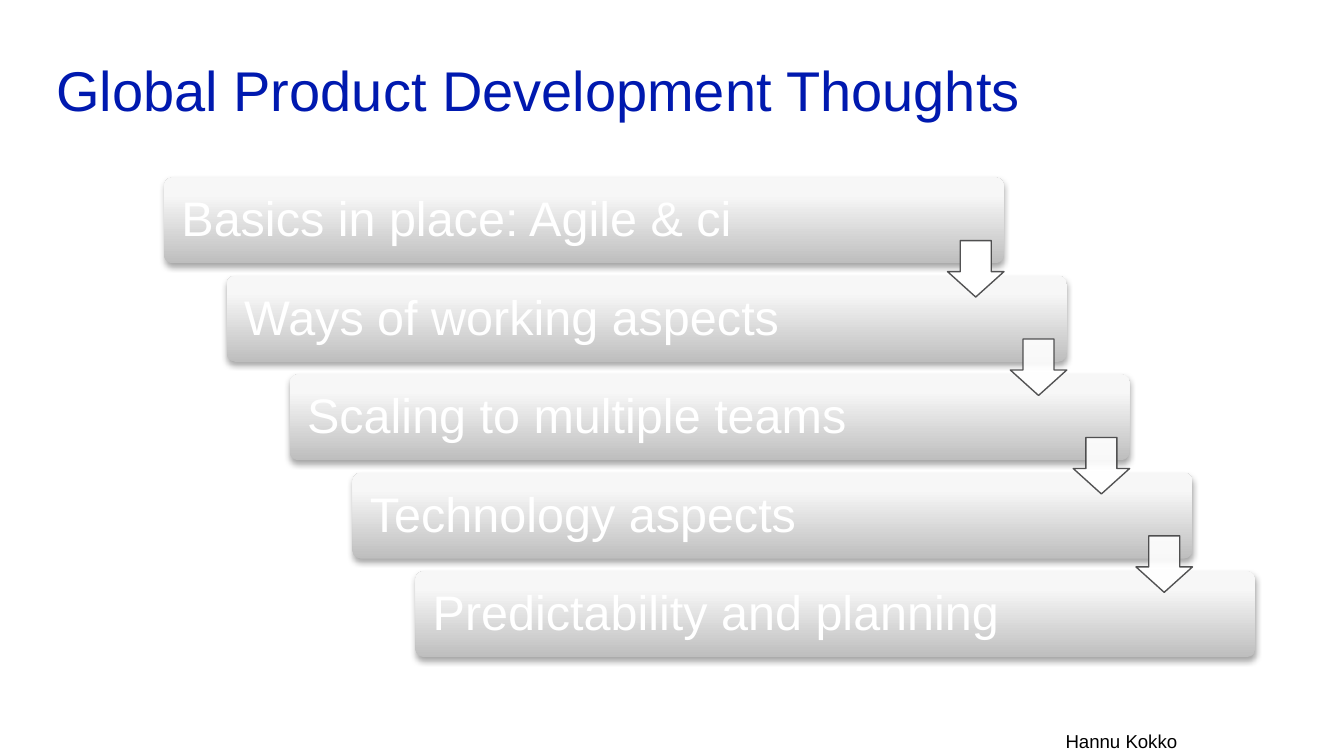
from typing import Any, NamedTuple

from lxml.etree import SubElement
from pptx import Presentation
from pptx.dml.color import RGBColor
from pptx.enum.shapes import MSO_SHAPE as Preset
from pptx.enum.text import MSO_ANCHOR as Anchor
from pptx.oxml.ns import qn
from pptx.util import Inches, Pt

WIDTH = 10
HEIGHT = WIDTH * 9 / 16
BLUE = RGBColor(0x00, 0x19, 0xAF)
BLACK = RGBColor(0x00, 0x00, 0x00)
WHITE = RGBColor(0xFF, 0xFF, 0xFF)
OUTLINE = RGBColor(0x40, 0x40, 0x41)
GRADIENT = (
    (0, RGBColor(0xBE, 0xBE, 0xBE)),
    (80, RGBColor(0xF7, 0xF7, 0xF7)),
    (100, RGBColor(0xF8, 0xF8, 0xF8)),
)
STEPS = (
    "Basics in place: Agile & ci",
    "Ways of working aspects",
    "Scaling to multiple teams",
    "Technology aspects",
    "Predictability and planning",
)
COLUMN = (3.09 - 1.22) / (len(STEPS) - 1)
ROW = (4.25 - 1.32) / (len(STEPS) - 1)


class Box(NamedTuple):
    """A rectangle in inches."""

    left: float
    top: float
    width: float
    height: float

    def moved(self, index: int) -> "Box":
        """Return the rectangle moved down the staircase by index steps."""
        return self._replace(left=self.left + index * COLUMN, top=self.top + index * ROW)

    def lengths(self) -> list[int]:
        """Return the rectangle in slide units."""
        return [Inches(value) for value in self]


TITLE = Box(0.39, 0.26, 9.31, 0.81)
BAR = Box(1.22, 1.32, 6.25, 0.64)
LABEL = Box(1.24, 1.34, 5.32, 0.61)
ARROW = Box(7.05, 1.79, 0.42, 0.42)
AUTHOR = Box(7.83, 5.38, 1.04, 0.27)


def apply_format(target: Any, values: dict[str, Any]) -> None:
    """Set each named attribute on the target."""
    for name, value in values.items():
        setattr(target, name, value)


def add_color(parent: Any, color: RGBColor, alpha: int = 100) -> None:
    """Append a colour with an opacity percentage to an XML element."""
    element = SubElement(parent, qn("a:srgbClr"), val=str(color))
    if alpha < 100:
        SubElement(element, qn("a:alpha"), val=str(alpha * 1000))


def fill_solid(fill: Any, holder: Any, color: RGBColor, alpha: int) -> None:
    """Give a fill one colour with an opacity percentage."""
    fill.solid()
    add_color(holder.find(qn("a:solidFill")), color, alpha)


def add_text(slide: Any, box: Box, text: str, size: int, color: RGBColor,
             inset: float, line_spacing: float = 1.0) -> Any:
    """Add one line of text, centred vertically, and return its frame."""
    frame = slide.shapes.add_textbox(*box.lengths()).text_frame
    margins = {f"margin_{side}": Inches(inset) for side in ("left", "right", "top", "bottom")}
    apply_format(frame, {"word_wrap": True, "vertical_anchor": Anchor.MIDDLE, **margins})
    paragraph = frame.paragraphs[0]
    paragraph.line_spacing = line_spacing
    run = paragraph.add_run()
    run.text = text
    apply_format(run.font, {"name": "Arial", "size": Pt(size)})
    run.font.color.rgb = color
    return frame


def add_bar(slide: Any, box: Box) -> None:
    """Add a rounded bar with a grey gradient and a soft shadow."""
    shape = slide.shapes.add_shape(Preset.ROUNDED_RECTANGLE, *box.lengths())
    shape.adjustments[0] = 0.1
    shape.line.fill.background()
    shape.fill.gradient()
    shape.fill.gradient_angle = 90
    properties = shape.element.spPr
    stops = properties.find(".//" + qn("a:gsLst"))
    for stop in list(stops):
        stops.remove(stop)
    for position, color in GRADIENT:
        add_color(SubElement(stops, qn("a:gs"), pos=str(position * 1000)), color)
    shape.shadow.inherit = False
    shadow = SubElement(properties.find(qn("a:effectLst")), qn("a:outerShdw"),
                        blurRad=str(Pt(3.1)), dist=str(Pt(1.8)), dir="5400000", rotWithShape="0")
    add_color(shadow, BLACK, 35)


def add_arrow(slide: Any, box: Box, alpha: int) -> None:
    """Add a white down arrow with a thin outline."""
    shape = slide.shapes.add_shape(Preset.DOWN_ARROW, *box.lengths())
    shape.adjustments[0], shape.adjustments[1] = 0.55, 0.45
    shape.shadow.inherit = False
    shape.line.width = Pt(0.75)
    properties = shape.element.spPr
    fill_solid(shape.fill, properties, WHITE, alpha)
    fill_solid(shape.line.fill, properties.find(qn("a:ln")), OUTLINE, 90)


def main() -> None:
    """Build the slide and save it."""
    presentation = Presentation()
    apply_format(presentation, {"slide_width": Inches(WIDTH), "slide_height": Inches(HEIGHT)})
    slide = presentation.slides.add_slide(presentation.slide_layouts[6])
    add_text(slide, TITLE, "Global Product Development Thoughts", 30, BLUE, 0.03)
    for index, step in enumerate(STEPS):
        add_bar(slide, BAR.moved(index))
        add_text(slide, LABEL.moved(index), step, 26, WHITE, 0.11, 0.9)
    for index in range(len(STEPS) - 1):
        add_arrow(slide, ARROW.moved(index), 90 if index else 100)
    author = add_text(slide, AUTHOR, "Hannu Kokko", 10, BLACK, 0.1)
    apply_format(author, {"word_wrap": False, "vertical_anchor": Anchor.TOP,
                          "margin_top": Inches(0.05), "margin_bottom": Inches(0.05)})
    presentation.save("out.pptx")


if __name__ == "__main__":
    main()
